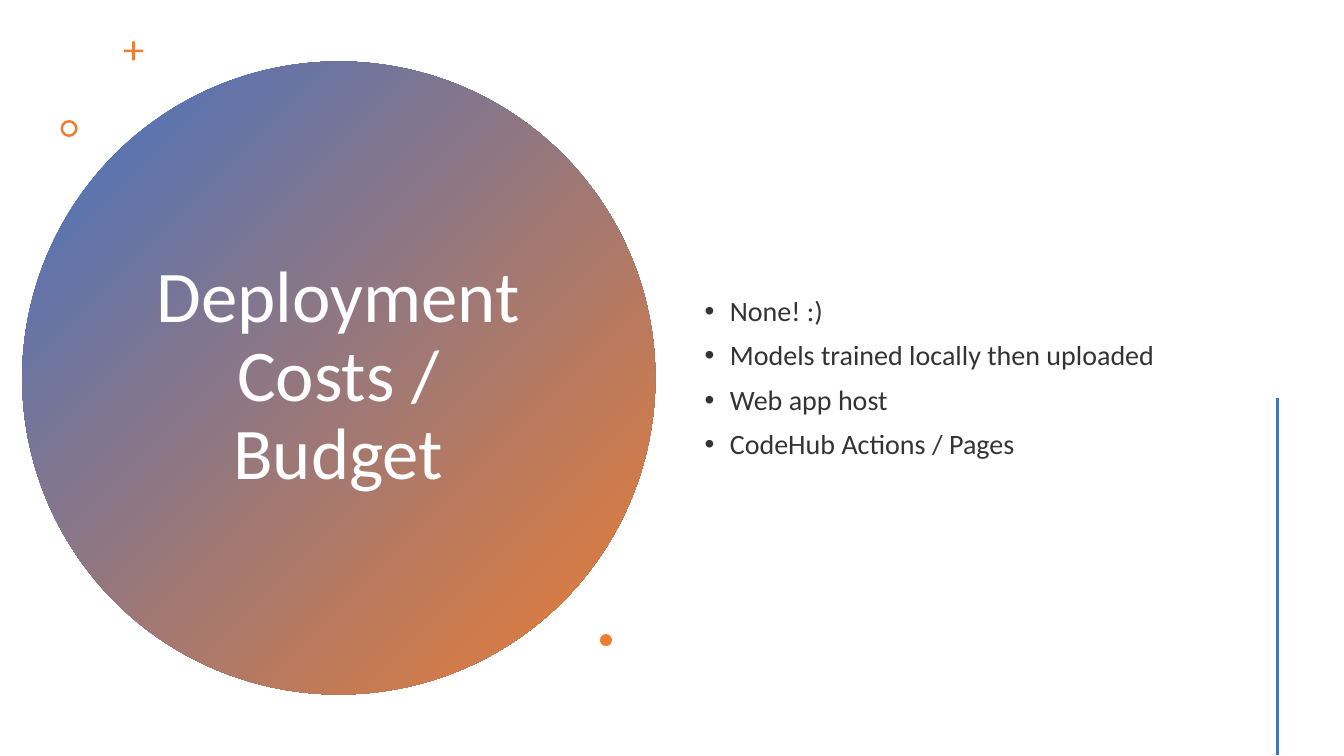
from lxml.etree import SubElement
from pptx import Presentation
from pptx.dml.color import RGBColor
from pptx.enum.shapes import MSO_CONNECTOR, MSO_SHAPE
from pptx.enum.text import MSO_ANCHOR, MSO_AUTO_SIZE, PP_ALIGN
from pptx.oxml.ns import qn
from pptx.util import Inches, Pt

COLOURS = {"blue": "4472C4", "orange": "ED7D31", "white": "FFFFFF", "black": "000000"}
FONT = "Calibri"
TITLE = "Deployment Costs / Budget"
POINTS = [
    "None! :)",
    "Models trained locally then uploaded",
    "Web app host",
    "CodeHub Actions / Pages",
]


def colour(name):
    return RGBColor.from_string(COLOURS[name])


class SlideBuilder:
    def __init__(self, deck):
        self.page = deck.slides.add_slide(deck.slide_layouts[5])
        self.shapes = self.page.shapes

    def shape(self, kind, left, top, size, fill="orange", adjustment=None):
        """Add a square-framed preset shape with a plain fill and no outline."""
        shape = self.shapes.add_shape(
            kind, Inches(left), Inches(top), Inches(size), Inches(size))
        shape.shadow.inherit = False
        shape.fill.solid()
        shape.fill.fore_color.rgb = colour(fill)
        shape.line.fill.background()
        if adjustment is not None:
            shape.adjustments[0] = adjustment
        return shape

    def gradient_circle(self, left, top, size, start, end):
        circle = self.shape(MSO_SHAPE.OVAL, left, top, size)
        circle.fill.gradient()
        circle.fill.gradient_angle = 315
        for stop, name in zip(circle.fill.gradient_stops, (start, end)):
            stop.color.rgb = colour(name)

    def format_frame(self, frame):
        frame.word_wrap = True
        frame.auto_size = MSO_AUTO_SIZE.NONE
        frame.vertical_anchor = MSO_ANCHOR.MIDDLE

    def format_paragraph(self, paragraph, size, name):
        paragraph.line_spacing = 0.9
        for span in paragraph.runs:
            span.font.name = FONT
            span.font.size = Pt(size)
            span.font.color.rgb = colour(name)

    def title(self, text, left, top, width, height):
        """Fill the title placeholder and bring it in front of earlier shapes."""
        title = self.shapes.title
        title.left, title.top = Inches(left), Inches(top)
        title.width, title.height = Inches(width), Inches(height)
        title.element.getparent().append(title.element)
        title.text_frame.text = text
        self.format_frame(title.text_frame)
        paragraph = title.text_frame.paragraphs[0]
        paragraph.alignment = PP_ALIGN.CENTER
        self.format_paragraph(paragraph, 52, "white")

    def bullets(self, points, left, top, width, height):
        box = self.shapes.add_textbox(
            Inches(left), Inches(top), Inches(width), Inches(height))
        box.text_frame.text = "\n".join(points)
        self.format_frame(box.text_frame)
        for paragraph in box.text_frame.paragraphs:
            paragraph.space_before = Pt(10)
            self.format_paragraph(paragraph, 20, "black")
            properties = paragraph._p.get_or_add_pPr()
            properties.set("marL", str(Inches(0.25)))
            properties.set("indent", str(Inches(-0.25)))
            SubElement(properties, qn("a:buFont"), typeface="Arial")
            SubElement(properties, qn("a:buChar"), char="•")
            for shade in paragraph._p.iter(qn("a:srgbClr")):
                SubElement(shade, qn("a:alpha"), val="80000")

    def line(self, start, end, name, width):
        line = self.shapes.add_connector(
            MSO_CONNECTOR.STRAIGHT, *(Inches(value) for value in start + end))
        line.line.color.rgb = colour(name)
        line.line.width = Pt(width)
        SubElement(line.element.spPr, qn("a:effectLst"))


def main():
    deck = Presentation()
    deck.slide_width, deck.slide_height = Inches(13.33), Inches(7.5)
    builder = SlideBuilder(deck)
    builder.gradient_circle(0.22, 0.61, 6.28, "blue", "orange")
    builder.title(TITLE, 1.36, 1.41, 3.99, 4.67)
    builder.shape(MSO_SHAPE.CROSS, 1.23, 0.41, 0.19, adjustment=0.43)
    builder.shape(MSO_SHAPE.DONUT, 0.6, 1.19, 0.17, adjustment=0.15)
    builder.bullets(POINTS, 6.89, 0.57, 5.22, 6.38)
    builder.shape(MSO_SHAPE.OVAL, 5.95, 6.29, 0.12)
    builder.line((12.67, 3.95), (12.67, 7.49), "blue", 2)
    deck.save("out.pptx")


if __name__ == "__main__":
    main()
